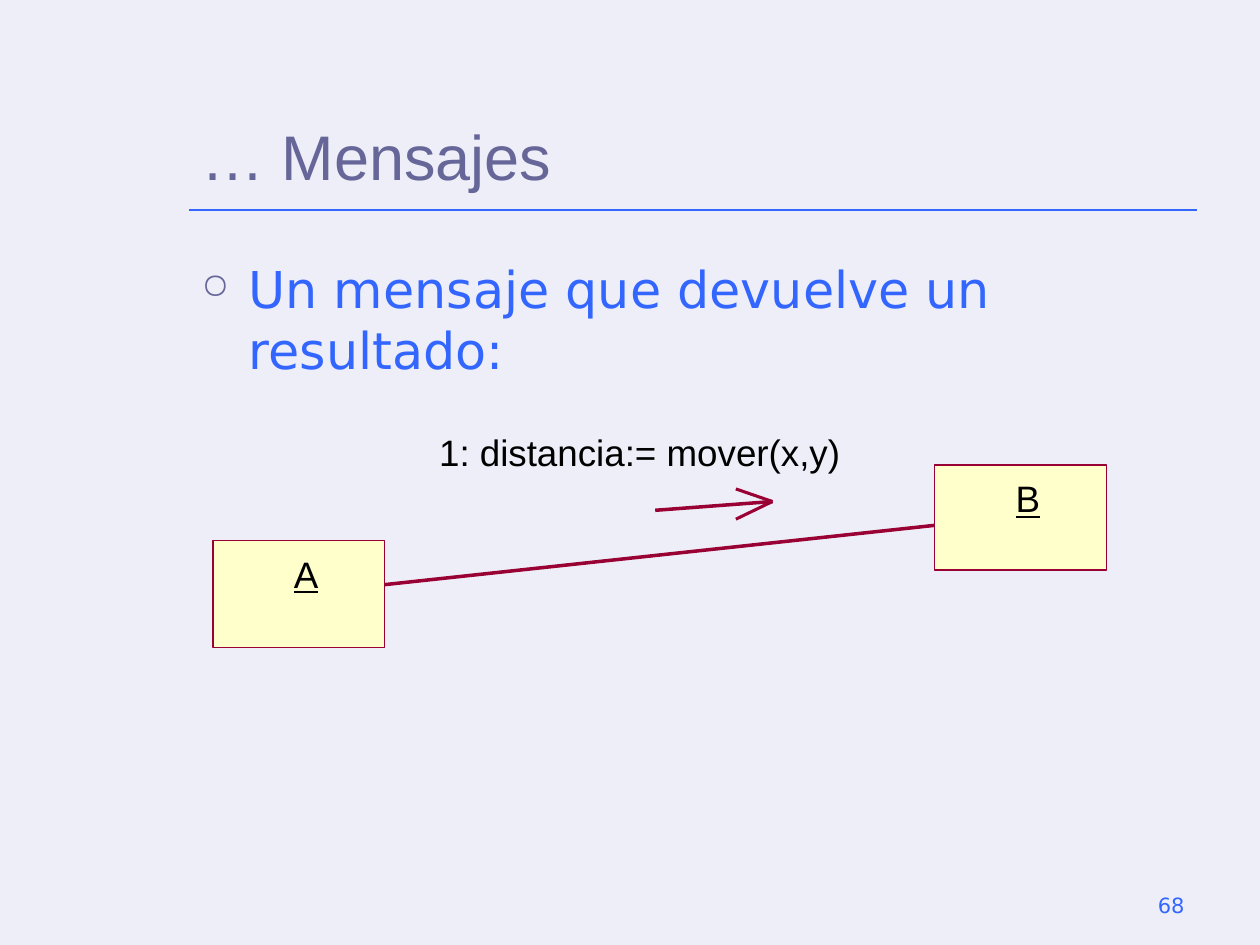
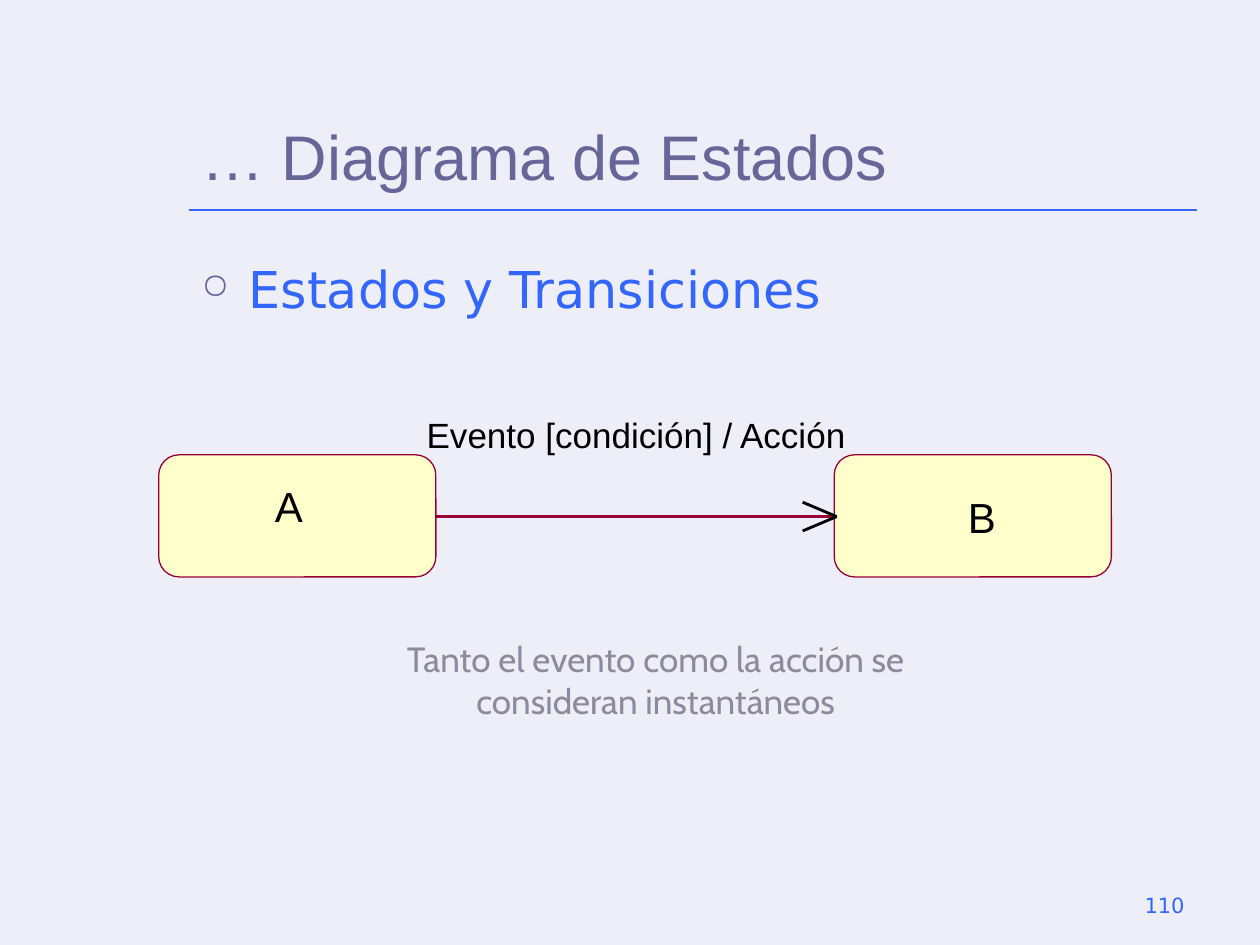
from lxml.etree import SubElement
from pptx import Presentation
from pptx.dml.color import RGBColor
from pptx.enum.shapes import MSO_CONNECTOR, MSO_SHAPE
from pptx.enum.text import MSO_ANCHOR, PP_ALIGN
from pptx.oxml.ns import qn
from pptx.util import Pt

PAPER = RGBColor(0xEE, 0xEE, 0xF8)
BLUE = RGBColor(0x33, 0x66, 0xFF)
SLATE = RGBColor(0x66, 0x66, 0x99)
GREY = RGBColor(0x8C, 0x8B, 0x9D)
CREAM = RGBColor(0xFF, 0xFF, 0xCC)
WINE = RGBColor(0x99, 0x00, 0x33)
BLACK = RGBColor(0x00, 0x00, 0x00)

SANS, WIDE, SOFT = "Arial", "DejaVu Sans", "Cabin"
PAD = (7.2, 3.6)
NONE = (0, 0)


def shift(box, left, top, *size):
    """Move a place inside a box to slide coordinates."""
    return (box[0] + left, box[1] + top, *size)


def write(slide, box, text, size, font=SANS, color=BLACK, align=PP_ALIGN.LEFT,
          anchor=MSO_ANCHOR.TOP, pad=PAD, wrap=True, under=None, mark=None):
    area = slide.shapes.add_textbox(*map(Pt, box))
    frame = area.text_frame
    frame.word_wrap = wrap
    frame.vertical_anchor = anchor
    frame.margin_left = frame.margin_right = Pt(pad[0])
    frame.margin_top = frame.margin_bottom = Pt(pad[1])
    para = frame.paragraphs[0]
    para.alignment = align
    if mark:
        bullet(para, mark)
    run = para.add_run()
    run.text = text
    run.font.size = Pt(size)
    run.font.name = font
    run.font.color.rgb = color
    run.font.underline = under


def bullet(para, mark):
    props = para._p.get_or_add_pPr()
    props.set("marL", str(Pt(27)))
    props.set("indent", str(-Pt(27)))
    tint = SubElement(props, qn("a:buClr"))
    SubElement(tint, qn("a:srgbClr"), val=str(SLATE))
    SubElement(props, qn("a:buSzPct"), val="70000")
    SubElement(props, qn("a:buChar"), char=mark)


def label(slide, box, text, size, under=None):
    write(slide, box, text, size, align=PP_ALIGN.CENTER, pad=NONE,
          wrap=False, under=under)


def line(slide, start, end, color=WINE, width=0):
    link = slide.shapes.add_connector(
        MSO_CONNECTOR.STRAIGHT, *map(Pt, (*start, *end)))
    link.line.color.rgb = color
    link.line.width = Pt(width)
    SubElement(link._element.spPr, qn("a:effectLst"))


def arrow(slide, start, tip, back, drops, color, width):
    """Draw a shaft with an open head made of two strokes."""
    line(slide, start, tip)
    for drop in drops:
        line(slide, tip, shift(tip, -back, drop), color, width)


def node(slide, box, kind, text, spot, size, under=None):
    """Draw a box with its name at a spot inside it."""
    shape = slide.shapes.add_shape(kind, *map(Pt, box))
    shape.shadow.inherit = False
    shape.fill.solid()
    shape.fill.fore_color.rgb = CREAM
    shape.line.color.rgb = WINE
    shape.line.width = Pt(0)
    label(slide, shift(box, *spot), text, size, under)


def base(deck, title, point, number):
    """Add a slide with the shared title, rule, bullet and number."""
    slide = deck.slides.add_slide(deck.slide_layouts[6])
    fill = slide.background.fill
    fill.solid()
    fill.fore_color.rgb = PAPER
    line(slide, (108, 120), (684, 120), BLUE, 1)
    write(slide, (516, 492, 168, 36), number, 12, WIDE, BLUE,
          PP_ALIGN.RIGHT, MSO_ANCHOR.BOTTOM)
    write(slide, (108, 24, 576, 90), title, 36, color=SLATE,
          anchor=MSO_ANCHOR.BOTTOM)
    write(slide, (108, 144, 576, 324), point, 29, WIDE, BLUE, mark="○")
    return slide


def message(slide, box):
    """Two objects, their link and the message sent along it."""
    spot = (46, 6.2, 14.4, 25.2)
    for name, left, top, high in (("A", 0, 63.4, 61.2), ("B", 412.5, 20.2, 60)):
        node(slide, shift(box, left, top, 98, high), MSO_SHAPE.RECTANGLE,
             name, spot, 21, True)
    line(slide, shift(box, 98, 88.6), shift(box, 412.5, 54.7))
    # Message arrow and text
    arrow(slide, shift(box, 252.7, 46.1), shift(box, 319.7, 41.1),
          20.9, (10.1, -7.2), WINE, 1.75)
    label(slide, shift(box, 129, 0, 229.7, 25.2),
          "1: distancia:= mover(x,y)", 21)


def states(slide, box):
    """Two states, the transition between them and a remark."""
    for name, left, spot in (("A", 0, (66.3, 14.4)), ("B", 386, (76.4, 20.9))):
        node(slide, shift(box, left, 23.7, 158.4, 69.8),
             MSO_SHAPE.ROUNDED_RECTANGLE, name, (*spot, 15.8, 28.8), 24)
    # Transition arrow and text
    arrow(slide, shift(box, 158.4, 59), shift(box, 387.4, 59),
          19.4, (8.2, -8.2), BLACK, 1.62)
    label(slide, shift(box, 152.6, 0, 240.5, 23.8),
          "Evento [condición] / Acción", 20)
    # Remark
    write(slide, shift(box, 90, 124.5, 388, 55.4),
          "Tanto el evento como la acción se consideran instantáneos",
          20, SOFT, GREY, PP_ALIGN.CENTER)


def main():
    deck = Presentation()
    deck.slide_width, deck.slide_height = Pt(720), Pt(540)
    slide = base(deck, "… Mensajes",
                 "Un mensaje que devuelve un resultado:", "68")
    message(slide, (121.7, 245.5))
    slide = base(deck, "… Diagrama de Estados", "Estados y Transiciones", "110")
    states(slide, (90.7, 236.2))
    deck.save("out.pptx")


if __name__ == "__main__":
    main()
